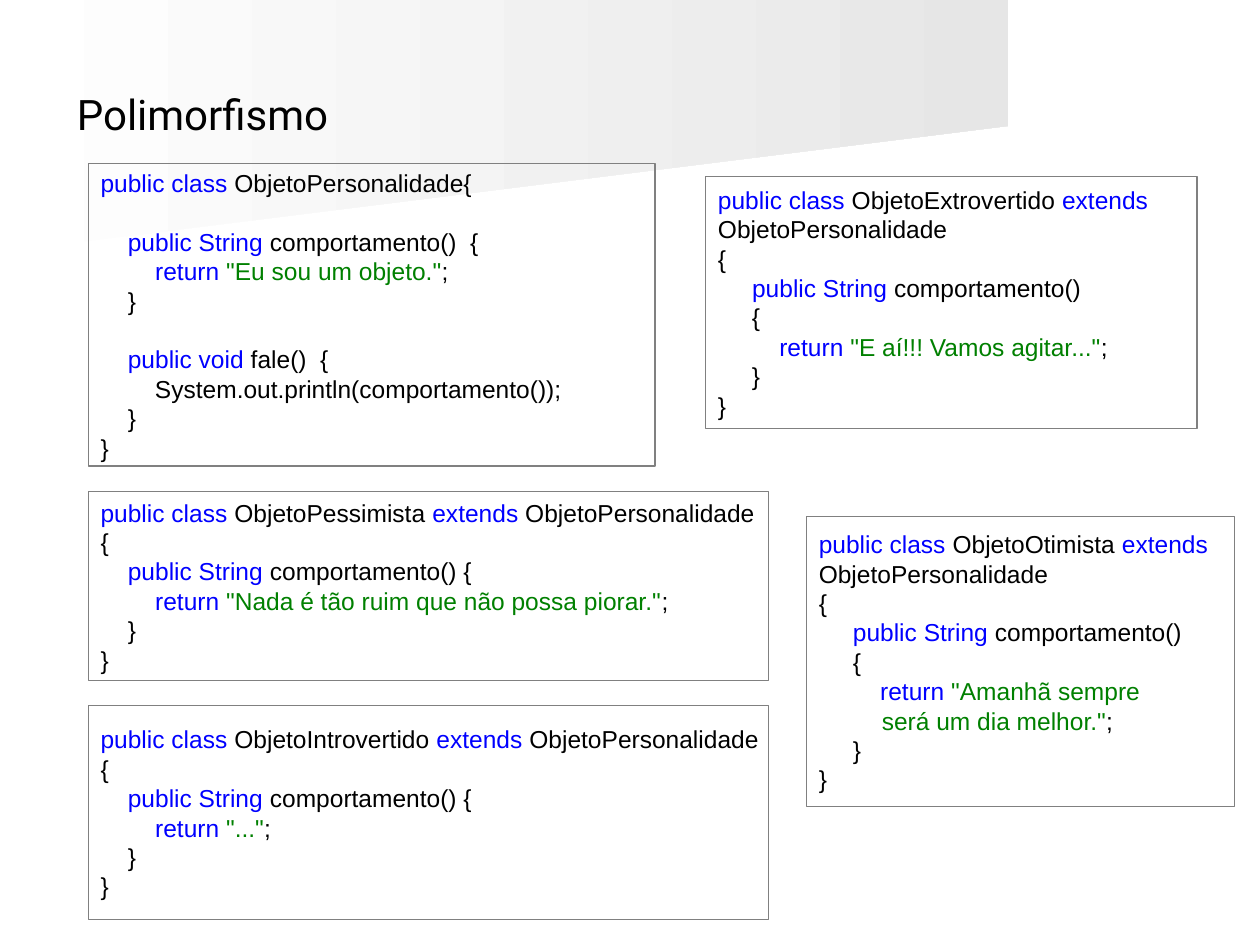
from pptx import Presentation
from pptx.dml.color import RGBColor
from pptx.enum.shapes import MSO_SHAPE
from pptx.enum.text import MSO_ANCHOR, PP_ALIGN
from pptx.oxml.ns import qn
from pptx.util import Inches, Pt
from lxml import etree

RECT = MSO_SHAPE.RECTANGLE
MIDDLE = MSO_ANCHOR.MIDDLE
LEFT = PP_ALIGN.LEFT

# Parts between tildes are coloured: strings green, keywords blue.
BASE = '''~public class~ ObjetoPersonalidade{

    ~public String~ comportamento()  {
        ~return ~~"Eu sou um objeto."~;
    }

    ~public void~ fale()  {
        System.out.println(comportamento());
    }
}'''
WIDE = '''~public class~ %s ~extends~ ObjetoPersonalidade
{
    ~public String~ comportamento() {
        ~return ~~%s~;
    }
}'''
TALL = '''~public class~ %s ~extends~
ObjetoPersonalidade
{
     ~public String~ comportamento()
     {
         ~return ~~%s~;
     }
}'''
HOPE = '"Amanhã sempre~\n\t~será um dia melhor."'

BOXES = [
    ((0.7, 1.3, 4.5, 2.4), BASE),
    ((0.7, 3.9, 5.4, 1.5),
     WIDE % ("ObjetoPessimista", '"Nada é tão ruim que não possa piorar."')),
    ((0.7, 5.6, 5.4, 1.7), WIDE % ("ObjetoIntrovertido", '"..."')),
    ((5.6, 1.4, 3.9, 2.0),
     TALL % ("ObjetoExtrovertido", '"E aí!!! Vamos agitar..."')),
    ((6.4, 4.1, 3.4, 2.3), TALL % ("ObjetoOtimista", HOPE)),
]
BANDS = [
    ([(7.78, 1.26), (0, 1.78), (0, 0.83), (7.79, 0.83)], "F0F0F0"),
    ([(7.91, 1.33), (0, 1.71), (0, 0), (7.92, 0)], "E6E6E6"),
]


def color(code):
    return RGBColor.from_string(code)


def add_band(slide, points, shade):
    """Draw a backdrop that fades from white on the left to the shade."""
    start, *rest = points
    pen = slide.shapes.build_freeform(*start, scale=Inches(1))
    pen.add_line_segments(rest, close=True)
    band = pen.convert_to_shape()
    band.shadow.inherit = False
    band.line.fill.background()
    band.fill.gradient()
    band.fill.gradient_angle = 0
    for stop, code in zip(band.fill.gradient_stops, ("FFFFFF", shade)):
        stop.color.rgb = color(code)


def set_title(slide, text):
    title = slide.shapes.title
    title.left, title.top, title.width, title.height = map(
        Inches, (0.51, 0.28, 9, 1.25))
    frame = title.text_frame
    frame.text = text
    frame.vertical_anchor = MIDDLE
    para = frame.paragraphs[0]
    para.alignment = LEFT
    para.font.name, para.font.size = "Roboto", Pt(24)
    para.font.color.rgb = color("000000")
    slide.shapes._spTree.append(title._element)


def add_tab(para, inches):
    tabs = etree.SubElement(para._p.get_or_add_pPr(), qn("a:tabLst"))
    etree.SubElement(tabs, qn("a:tab"), pos=str(Inches(inches)), algn="l")


def write_line(para, line):
    para.alignment = LEFT
    para.line_spacing = Pt(16.8)
    if "\t" in line:
        add_tab(para, 0.5)
    para.font.name, para.font.size = "Arial", Pt(14)
    for i, part in enumerate(line.split("~")):
        if not part:
            continue
        run = para.add_run()
        run.text = part
        marked = "008000" if '"' in part else "0000FF"
        run.font.color.rgb = color(marked if i % 2 else "000000")


def add_code(slide, place, code):
    box = slide.shapes.add_shape(RECT, *map(Inches, place))
    box.shadow.inherit = False
    box.fill.background()
    box.line.color.rgb = color("808080")
    box.line.width = Pt(0.75)
    frame = box.text_frame
    frame.word_wrap = False
    frame.vertical_anchor = MIDDLE
    for i, line in enumerate(code.split("\n")):
        para = frame.add_paragraph() if i else frame.paragraphs[0]
        write_line(para, line)


def main():
    deck = Presentation()
    deck.slide_width, deck.slide_height = Inches(10), Inches(7.5)
    slide = deck.slides.add_slide(deck.slide_layouts[5])
    for points, shade in BANDS:
        add_band(slide, points, shade)
    set_title(slide, "Polimorfismo")
    for place, code in BOXES:
        add_code(slide, place, code)
    deck.save("out.pptx")


if __name__ == "__main__":
    main()
